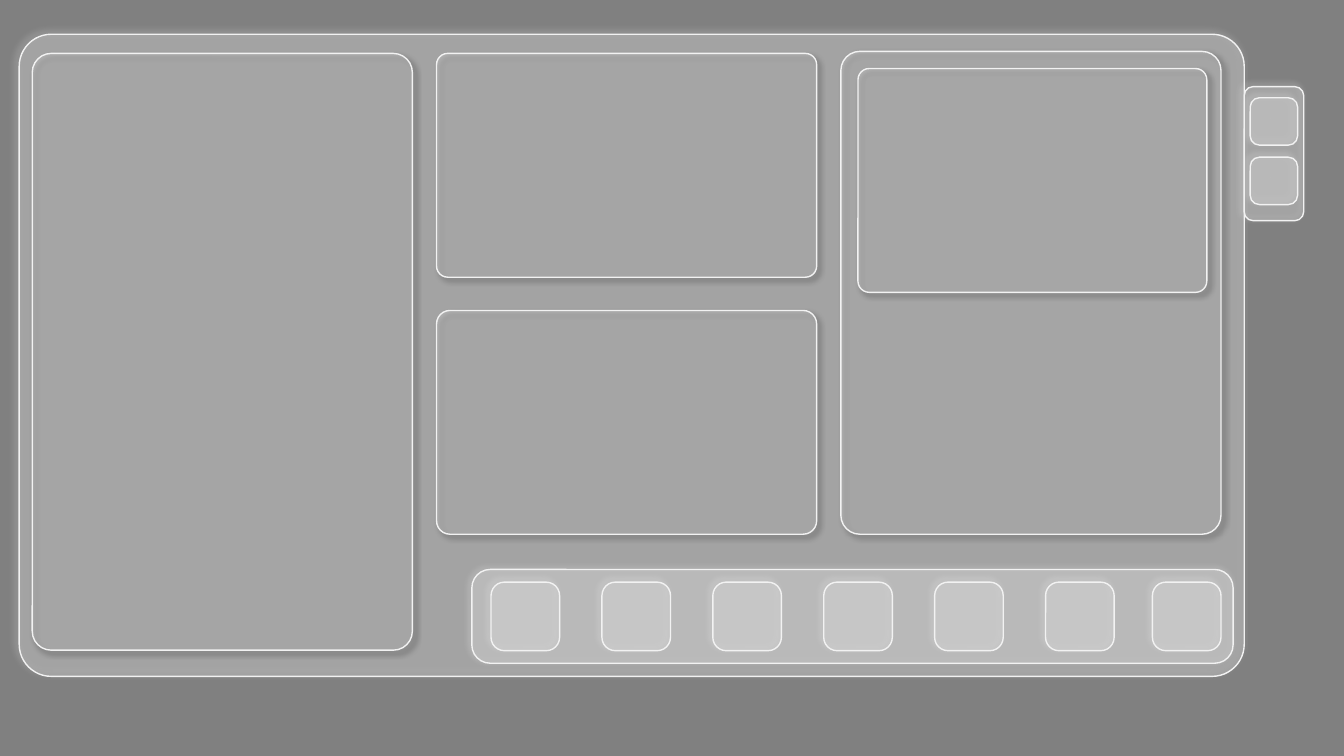
from dataclasses import dataclass

from pptx import Presentation
from pptx.dml.color import RGBColor
from pptx.enum.shapes import MSO_SHAPE
from pptx.oxml import parse_xml
from pptx.oxml.ns import nsdecls, qn
from pptx.util import Inches, Pt


@dataclass(frozen=True)
class Theme:
    """Colours, opacities and effect sizes of the glass look."""
    backdrop: str = "808080"
    glass: str = "D9D9D9"
    edge: str = "F2F2F2"
    shade: str = "000000"
    glass_opacity: int = 30
    shadow_opacity: int = 40
    edge_width: float = 1
    shadow_blur: float = 4
    shadow_distance: float = 3


theme = Theme()
GLOW = (theme.edge, 225, "br")   # light falling to the upper left
DROP = (theme.shade, 45, "tl")   # shade falling to the lower right


def alpha_xml(percent):
    """Return an opacity element for a colour."""
    return f'<a:alpha {nsdecls("a")} val="{percent * 1000}"/>'


def add_glass(shapes, left, top, width, height, rounding, shadow):
    """Add a translucent rounded rectangle, measured in inches."""
    shape = shapes.add_shape(
        MSO_SHAPE.ROUNDED_RECTANGLE,
        Inches(left), Inches(top), Inches(width), Inches(height))
    shape.adjustments[0] = rounding
    shape.fill.solid()
    shape.fill.fore_color.rgb = RGBColor.from_string(theme.glass)
    shape.line.color.rgb = RGBColor.from_string(theme.edge)
    shape.line.width = Pt(theme.edge_width)
    shape.shadow.inherit = False

    properties = shape.element.spPr
    fill_color = properties.find(qn("a:solidFill")).find(qn("a:srgbClr"))
    fill_color.append(parse_xml(alpha_xml(theme.glass_opacity)))
    color, angle, anchor = shadow
    properties.find(qn("a:effectLst")).append(parse_xml(
        f'<a:outerShdw {nsdecls("a")} blurRad="{Pt(theme.shadow_blur)}" '
        f'dist="{Pt(theme.shadow_distance)}" dir="{angle * 60000}" '
        f'algn="{anchor}" rotWithShape="0"><a:srgbClr val="{color}">'
        f'{alpha_xml(theme.shadow_opacity)}</a:srgbClr></a:outerShdw>'))


presentation = Presentation()
presentation.slide_width = Inches(13.33)
presentation.slide_height = Inches(7.5)
slide = presentation.slides.add_slide(presentation.slide_layouts[6])
slide.background.fill.solid()
slide.background.fill.fore_color.rgb = RGBColor.from_string(theme.backdrop)

# Three equal columns of cards, the middle one split into two rows
CARD_WIDTH, CARD_HEIGHT = 3.77, 2.22
COLUMNS = [0.32 + 4.01 * column for column in range(3)]
ROWS = [0.53 + 2.55 * row for row in range(2)]
SOFT, ROUND = 0.05, 0.195

# Side tab, main window and the two tab buttons
WINDOW_LEFT, WINDOW_WIDTH = 0.19, 12.15
TAB_LEFT, TAB_WIDTH, TAB_BUTTON = WINDOW_LEFT + WINDOW_WIDTH, 0.59, 0.47
add_glass(slide.shapes, TAB_LEFT, 0.86, TAB_WIDTH, 1.33, 0.15, GLOW)
add_glass(slide.shapes, WINDOW_LEFT, 0.34, WINDOW_WIDTH, 6.37, SOFT, GLOW)
button_left = TAB_LEFT + (TAB_WIDTH - TAB_BUTTON) / 2
for row in range(2):
    add_glass(slide.shapes, button_left, 0.97 + 0.59 * row,
              TAB_BUTTON, TAB_BUTTON, ROUND, GLOW)

# Dock: six evenly spaced buttons, the seventh flush with the card edge
DOCK_TOP, DOCK_HEIGHT, DOCK_BUTTON = 5.65, 0.93, 0.68
dock = slide.shapes.add_group_shape()
add_glass(dock.shapes, 4.68, DOCK_TOP, 7.55, DOCK_HEIGHT, ROUND, GLOW)
button_top = DOCK_TOP + (DOCK_HEIGHT - DOCK_BUTTON) / 2
dock_lefts = [4.87 + 1.1 * column for column in range(6)]
dock_lefts.append(COLUMNS[2] + CARD_WIDTH - DOCK_BUTTON)
for left in dock_lefts:
    add_glass(dock.shapes, left, button_top,
              DOCK_BUTTON, DOCK_BUTTON, ROUND, GLOW)

# Cards, with a smaller one inset in the right column
cards = [
    (COLUMNS[2], 0.51, CARD_WIDTH, 4.79, SOFT),
    (COLUMNS[1], ROWS[0], CARD_WIDTH, CARD_HEIGHT, SOFT),
    (COLUMNS[1], ROWS[1], CARD_WIDTH, CARD_HEIGHT, 0.06),
    (COLUMNS[0], ROWS[0], CARD_WIDTH, 5.92, SOFT),
    (COLUMNS[2] + 0.17, 0.68, 3.46, CARD_HEIGHT, SOFT),
]
for card in cards:
    add_glass(slide.shapes, *card, DROP)

presentation.save("out.pptx")
